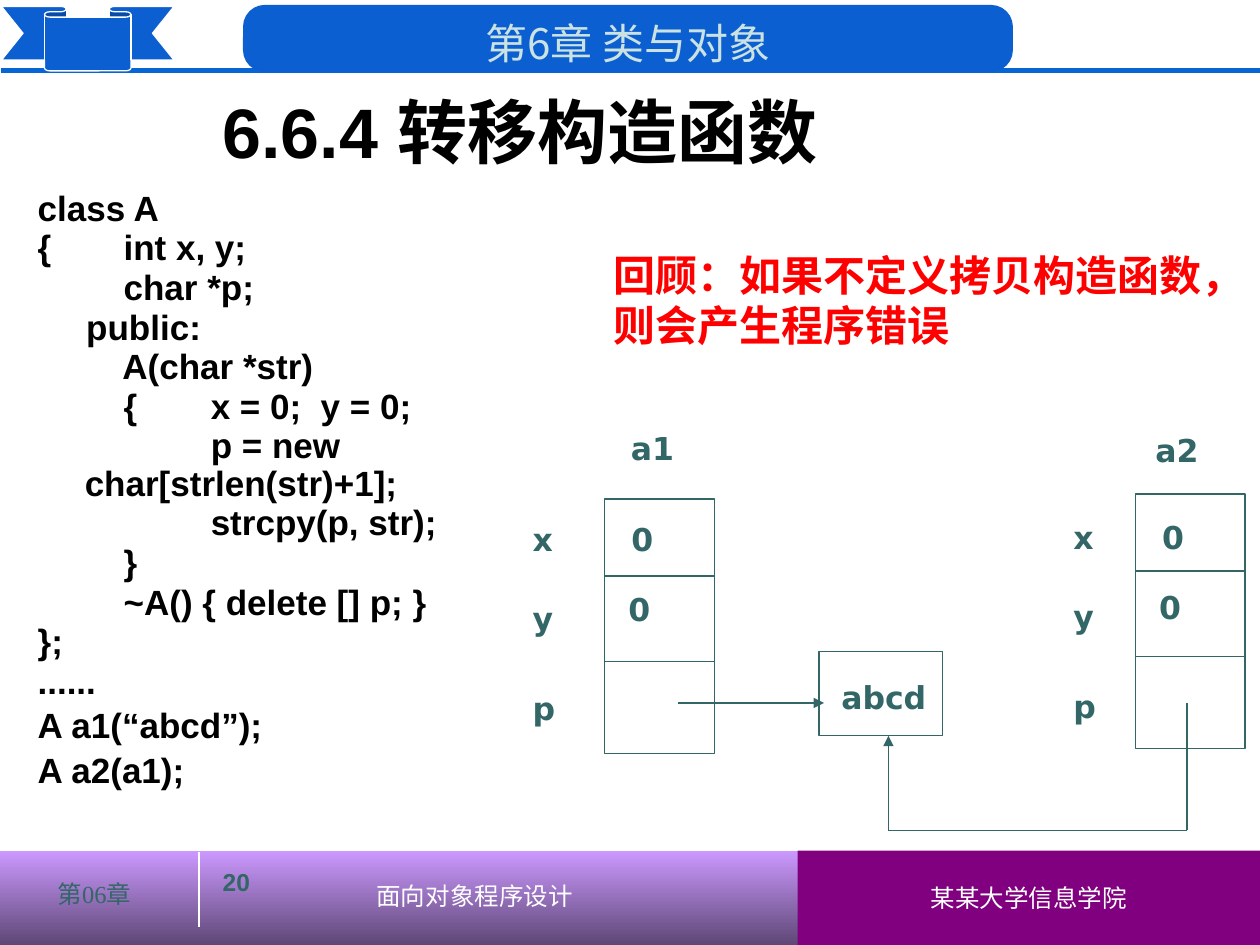
"""Build the slide on move constructors with its shallow-copy memory diagram."""
from lxml.etree import SubElement
from pptx import Presentation
from pptx.dml.color import RGBColor
from pptx.enum.shapes import MSO_CONNECTOR, MSO_SHAPE
from pptx.enum.text import MSO_ANCHOR, MSO_AUTO_SIZE
from pptx.enum.text import PP_ALIGN as ALIGN
from pptx.oxml.ns import qn
from pptx.util import Cm, Pt

WHITE = RGBColor(0xFF, 0xFF, 0xFF)
BLACK = RGBColor(0x00, 0x00, 0x00)
RED = RGBColor(0xFF, 0x00, 0x00)
TEAL = RGBColor(0x33, 0x66, 0x66)
BLUE = RGBColor(0x0B, 0x5F, 0xD1)
RULE_BLUE = RGBColor(0x07, 0x66, 0xD4)
PALE = RGBColor(0xCA, 0xE2, 0xE2)
PURPLE = RGBColor(0x80, 0x00, 0x80)
LILAC = RGBColor(0xCC, 0x99, 0xFF)
DUSK = RGBColor(0x5E, 0x47, 0x76)

CJK = "Noto Sans CJK SC"
SANS = "Arial"
SERIF = "Times New Roman"
LABEL = "DejaVu Sans"

CODE = [
    "class A",
    "{\t    int x, y;",
    "\t    char *p;",
    "     public:",
    "\t    A(char *str)",
    "\t    {\tx = 0;  y = 0;",
    "\t\tp = new char[strlen(str)+1];",
    "\t\tstrcpy(p, str);",
    "\t    }",
    "\t    ~A() { delete [] p; }",
    "};",
    "......",
]
USAGE = ["A a1(“abcd”);", "A a2(a1);"]


def style(p, size, color, font=SANS, bold=False, align=ALIGN.LEFT):
    """Format a paragraph and its runs."""
    p.alignment = align
    for r in p.runs:
        r.font.size = Pt(size)
        r.font.bold = bold
        r.font.name = font
        r.font.color.rgb = color
        SubElement(r.font._element, qn("a:ea"), typeface=CJK)


def add_text(s, box, text, size, color, **fmt):
    """Add a wrapping text box with one paragraph."""
    sp = s.shapes.add_textbox(*map(Cm, box))
    tf = sp.text_frame
    tf.word_wrap = True
    tf.text = text
    style(tf.paragraphs[0], size, color, **fmt)
    return tf


def add_label(s, left, top, text, width=0.95):
    """Add a diagram label that does not wrap."""
    tf = add_text(s, (left, top, width, 1.02), text, 18, TEAL, font=LABEL, bold=True)
    tf.word_wrap = False
    tf.auto_size = MSO_AUTO_SIZE.SHAPE_TO_FIT_TEXT


def add_box(s, kind, box, fill=None, line=None):
    """Add a preset shape with an optional solid fill and thin outline."""
    sp = s.shapes.add_shape(kind, *map(Cm, box))
    sp.shadow.inherit = False
    if fill is None:
        sp.fill.background()
    else:
        sp.fill.solid()
        sp.fill.fore_color.rgb = fill
    if line is None:
        sp.line.fill.background()
    else:
        sp.line.color.rgb = line
        sp.line.width = Pt(0.75)
    return sp


def add_line(s, start, end, color=TEAL, width=0.75, arrow=False):
    """Add a straight connector, with an arrowhead at its end if asked."""
    c = s.shapes.add_connector(MSO_CONNECTOR.STRAIGHT, *map(Cm, start + end))
    c.line.color.rgb = color
    c.line.width = Pt(width)
    if arrow:
        SubElement(c.line._get_or_add_ln(), qn("a:tailEnd"), type="triangle")
    SubElement(c._element.spPr, qn("a:effectLst"))


def add_caption(sp, text, size, color, anchor, font=SANS):
    """Write a centred caption inside a shape."""
    tf = sp.text_frame
    tf.vertical_anchor = anchor
    tf.text = text
    style(tf.paragraphs[0], size, color, font=font, align=ALIGN.CENTER)


def add_header(s):
    """Draw the chapter banner, its rule and the ribbon."""
    add_line(s, (0.03, 1.42), (25.43, 1.42), RULE_BLUE, 3)
    banner = add_box(s, MSO_SHAPE.ROUNDED_RECTANGLE, (4.9, 0.1, 15.52, 1.35), BLUE)
    banner.adjustments[0] = 0.325
    add_caption(banner, "第6章 类与对象", 24, PALE, MSO_ANCHOR.TOP, CJK)
    add_box(s, MSO_SHAPE.DOWN_RIBBON, (0.03, 0.13, 3.48, 1.3), BLUE, WHITE)


def add_footer(s):
    """Draw the footer bands and their texts."""
    band = add_box(s, MSO_SHAPE.RECTANGLE, (0, 17.15, 25.4, 1.9))
    band.fill.gradient()
    band.fill.gradient_angle = 270
    for stop, color in zip(band.fill.gradient_stops, (LILAC, DUSK)):
        stop.color.rgb = color
    add_line(s, (4.01, 17.17), (4.01, 18.69), WHITE, 1)
    school = add_box(s, MSO_SHAPE.RECTANGLE, (16.08, 17.15, 9.32, 1.9), PURPLE)
    add_caption(school, "某某大学信息学院", 14, WHITE, MSO_ANCHOR.MIDDLE)
    add_text(s, (0, 17.6, 3.81, 1.45), "第06章", 14, TEAL, font=SERIF, align=ALIGN.CENTER)
    add_text(s, (7.34, 17.63, 4.52, 1.07), "面向对象程序设计", 14, WHITE, font=SERIF)
    add_text(s, (4.24, 17.35, 3.61, 1.27), "20", 14, TEAL, bold=True)


def add_code(s):
    """Write the class listing and its two usage lines."""
    sp = s.shapes.add_textbox(Cm(0.51), Cm(3.73), Cm(11.81), Cm(12.34))
    tf = sp.text_frame
    tf.word_wrap = True
    tf.text = "\n".join(CODE + USAGE)
    for i, p in enumerate(tf.paragraphs):
        style(p, 20, BLACK, bold=True)
        p.line_spacing = 0.9
        p.space_before = Pt(1 if i < len(CODE) else 4)
        pPr = p._p.get_or_add_pPr()
        pPr.set("marL", str(Cm(0.95)))
        pPr.set("indent", str(-Cm(0.95)))
        pPr.set("defTabSz", str(Cm(2.54)))


def add_object(s, name, left, top, name_at, field_left, text_top):
    """Draw one object as three memory cells with field names and values."""
    width = 2.21
    add_box(s, MSO_SHAPE.RECTANGLE, (left, top, width, 5.13), line=TEAL)
    for dy in (1.55, 3.27):
        add_line(s, (left, top + dy), (left + width, top + dy))
    for field, dy in (("x", 0), ("y", 1.6), ("p", 3.4)):
        add_label(s, field_left, text_top + dy, field)
    for dx, dy in ((0.29, 0), (0.23, 1.41)):
        add_label(s, left + dx, text_top + dy, "0", 0.97)
    add_label(s, *name_at, name, 1.4)


def add_diagram(s):
    """Draw both objects pointing at the same string."""
    add_object(s, "a1", 12.19, 10.06, (12.47, 8.53), 10.49, 10.36)
    add_object(s, "a2", 22.89, 9.96, (23.04, 8.56), 21.39, 10.32)
    add_box(s, MSO_SHAPE.RECTANGLE, (16.51, 13.13, 2.49, 1.7), line=TEAL)
    add_label(s, 16.71, 13.54, "abcd", 2.5)
    add_line(s, (13.67, 14.17), (16.61, 14.17), arrow=True)
    add_line(s, (23.93, 14.17), (23.93, 16.74))
    add_line(s, (23.93, 16.74), (17.91, 16.74))
    add_line(s, (17.91, 16.74), (17.91, 14.83), arrow=True)


def main():
    """Build and save the slide."""
    prs = Presentation()
    prs.slide_width, prs.slide_height = Cm(25.4), Cm(19.05)
    s = prs.slides.add_slide(prs.slide_layouts[6])
    add_footer(s)
    add_header(s)
    add_code(s)
    add_diagram(s)
    title = add_text(s, (4.24, 0.51, 19.48, 4.24), "6.6.4 转移构造函数", 40, BLACK, bold=True)
    title.vertical_anchor = MSO_ANCHOR.MIDDLE
    add_text(s, (12.12, 4.9, 13.28, 2.31), "回顾：如果不定义拷贝构造函数，则会产生程序错误",
             24, RED, bold=True)
    prs.save("out.pptx")


if __name__ == "__main__":
    main()
